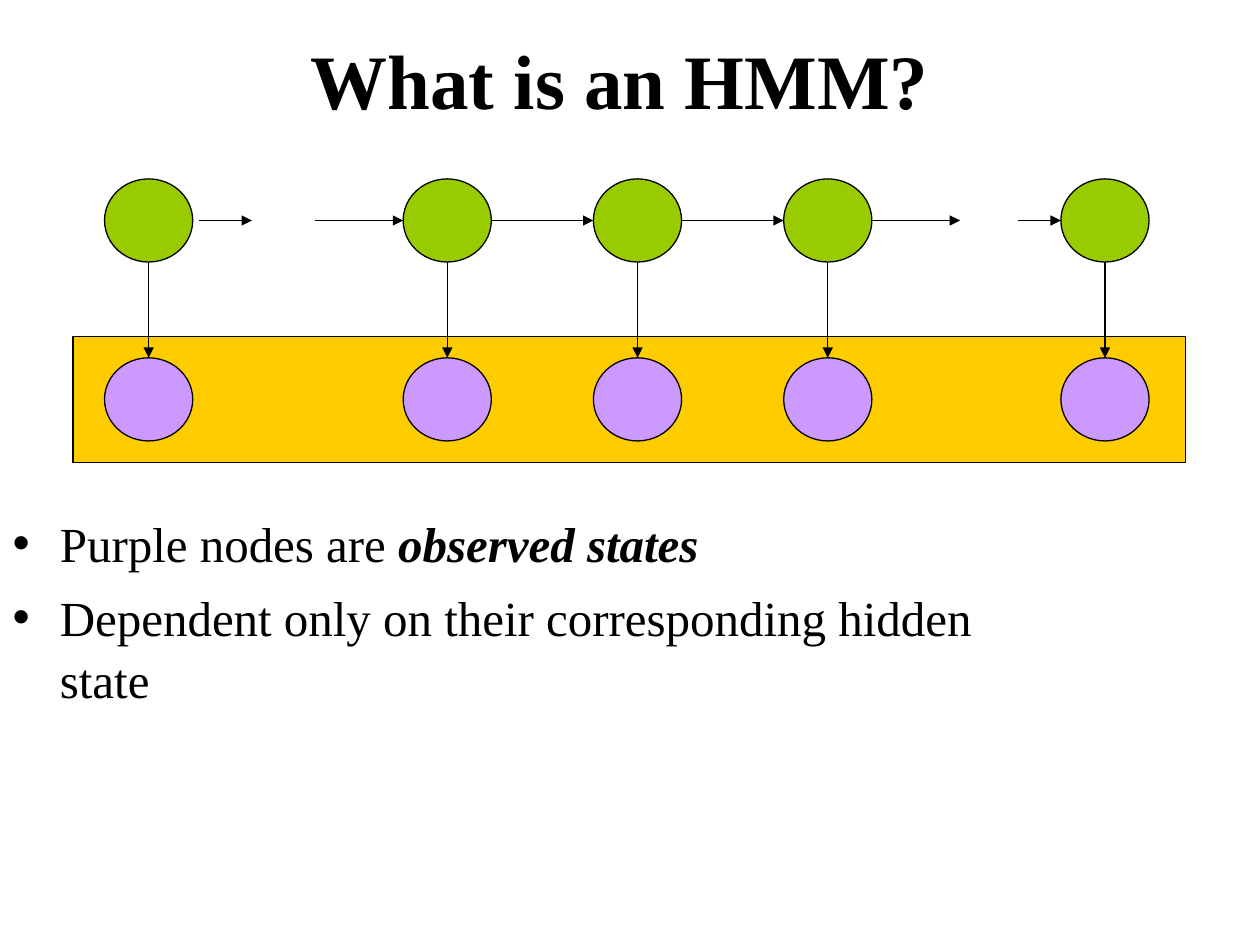
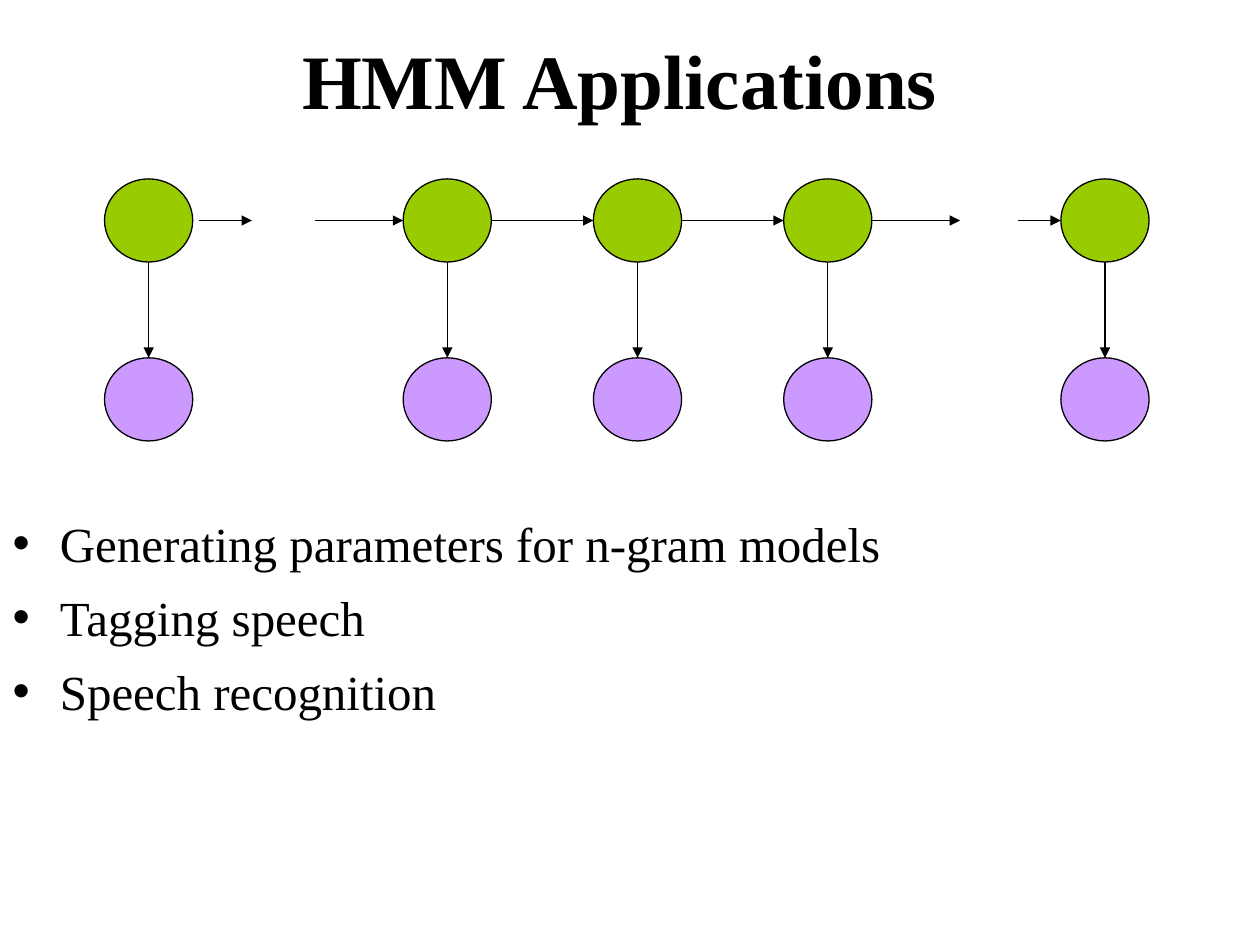
import pptx
import pptx.dml.color
import pptx.enum.shapes
import pptx.enum.text
import pptx.oxml.ns
import pptx.util
from lxml import etree

Inches = pptx.util.Inches
Pt = pptx.util.Pt
SHAPES = pptx.enum.shapes.MSO_SHAPE

COLORS = {
    "ink": "000000",
    "hidden": "99CC00",
    "observed": "CC99FF",
    "band": "FFCC00",
}
FONT = "Times New Roman"
LINE_WIDTH = Pt(0.75)

# Node grid, in inches: a first and last state around three evenly spaced ones
NODE_WIDTH, NODE_HEIGHT = 0.7, 0.66
HIDDEN_TOP, OBSERVED_TOP = 1.42, 2.84
MIDDLE_LEFT, MIDDLE_STEP = 3.2, 1.51
MIDDLE_NODES = [MIDDLE_LEFT + MIDDLE_STEP * column for column in range(3)]
FIRST_NODE, LAST_NODE = 0.83, 8.42
TRANSITION_Y = HIDDEN_TOP + NODE_HEIGHT / 2
OPEN_ARROW = 0.7


def color(name):
    return pptx.dml.color.RGBColor.from_string(COLORS[name])


def place(shape, left, top, width, height):
    shape.left, shape.top = Inches(left), Inches(top)
    shape.width, shape.height = Inches(width), Inches(height)


def add_run(paragraph, text, size, bold=False, italic=False):
    run = paragraph.add_run()
    run.text = text
    font = run.font
    font.name, font.size = FONT, Pt(size)
    font.bold, font.italic = bold, italic
    font.color.rgb = color("ink")


def set_title(slide, text):
    title = slide.shapes.title
    place(title, 0.67, 0, 8.5, 1.25)
    frame = title.text_frame
    frame.auto_size = pptx.enum.text.MSO_AUTO_SIZE.NONE
    frame.vertical_anchor = pptx.enum.text.MSO_ANCHOR.MIDDLE
    paragraph = frame.paragraphs[0]
    paragraph.alignment = pptx.enum.text.PP_ALIGN.CENTER
    add_run(paragraph, text, 44, bold=True)


def set_bullets(slide, bullets):
    """Fill the body; each bullet is a list of (text, emphasized) runs."""
    body = slide.placeholders[1]
    place(body, 0, 4, 8.5, 2.17)
    frame = body.text_frame
    frame.auto_size = pptx.enum.text.MSO_AUTO_SIZE.NONE
    for index, runs in enumerate(bullets):
        paragraph = frame.add_paragraph() if index else frame.paragraphs[0]
        paragraph.space_before = Pt(7)
        paragraph.line_spacing = 1.05
        for text, emphasized in runs:
            add_run(paragraph, text, 28, bold=emphasized, italic=emphasized)


def add_outlined(slide, preset, fill, left, top, width, height):
    shape = slide.shapes.add_shape(
        preset, Inches(left), Inches(top), Inches(width), Inches(height))
    shape.shadow.inherit = False
    shape.fill.solid()
    shape.fill.fore_color.rgb = color(fill)
    shape.line.color.rgb = color("ink")
    shape.line.width = LINE_WIDTH
    return shape


def add_arrow(slide, start_x, start_y, end_x, end_y):
    arrow = slide.shapes.add_connector(
        pptx.enum.shapes.MSO_CONNECTOR.STRAIGHT,
        Inches(start_x), Inches(start_y), Inches(end_x), Inches(end_y))
    arrow.line.color.rgb = color("ink")
    arrow.line.width = LINE_WIDTH
    qn = pptx.oxml.ns.qn
    properties = arrow.element.find(qn("p:spPr"))
    etree.SubElement(properties.find(qn("a:ln")), qn("a:tailEnd"), type="triangle")
    etree.SubElement(properties, qn("a:effectLst"))
    return arrow


def add_state(slide, left):
    """Draw a hidden node, its observed node and the arrow joining them."""
    size = (NODE_WIDTH, NODE_HEIGHT)
    add_outlined(slide, SHAPES.OVAL, "hidden", left, HIDDEN_TOP, *size)
    observed = add_outlined(slide, SHAPES.OVAL, "observed", left, OBSERVED_TOP, *size)
    center = left + NODE_WIDTH / 2
    arrow = add_arrow(slide, center, HIDDEN_TOP + NODE_HEIGHT, center, OBSERVED_TOP)
    arrow.end_connect(observed, 0)


def add_markov_chain(slide):
    for left in [FIRST_NODE, *MIDDLE_NODES, LAST_NODE]:
        add_state(slide, left)
    chain_end = MIDDLE_NODES[-1] + NODE_WIDTH
    transitions = [
        (1.58, 2),
        (MIDDLE_LEFT - OPEN_ARROW, MIDDLE_LEFT),
        *((left + NODE_WIDTH, left + MIDDLE_STEP) for left in MIDDLE_NODES[:-1]),
        (chain_end, chain_end + OPEN_ARROW),
        (8.08, LAST_NODE),
    ]
    for start, end in transitions:
        add_arrow(slide, start, TRANSITION_Y, end, TRANSITION_Y)


def add_hmm_slide(presentation, title, bullets, highlight_observed=False):
    slide = presentation.slides.add_slide(presentation.slide_layouts[1])
    set_title(slide, title)
    set_bullets(slide, bullets)
    if highlight_observed:
        add_outlined(slide, SHAPES.RECTANGLE, "band", 0.58, 2.67, 8.83, 1)
    add_markov_chain(slide)


def main():
    presentation = pptx.Presentation()
    presentation.slide_width, presentation.slide_height = Inches(10), Inches(7.5)
    add_hmm_slide(presentation, "What is an HMM?", [
        [("Purple nodes are ", False), ("observed states", True)],
        [("Dependent only on their corresponding hidden state", False)],
    ], highlight_observed=True)
    add_hmm_slide(presentation, "HMM Applications", [
        [("Generating parameters for n-gram models", False)],
        [("Tagging speech", False)],
        [("Speech recognition", False)],
    ])
    presentation.save("out.pptx")


if __name__ == "__main__":
    main()
